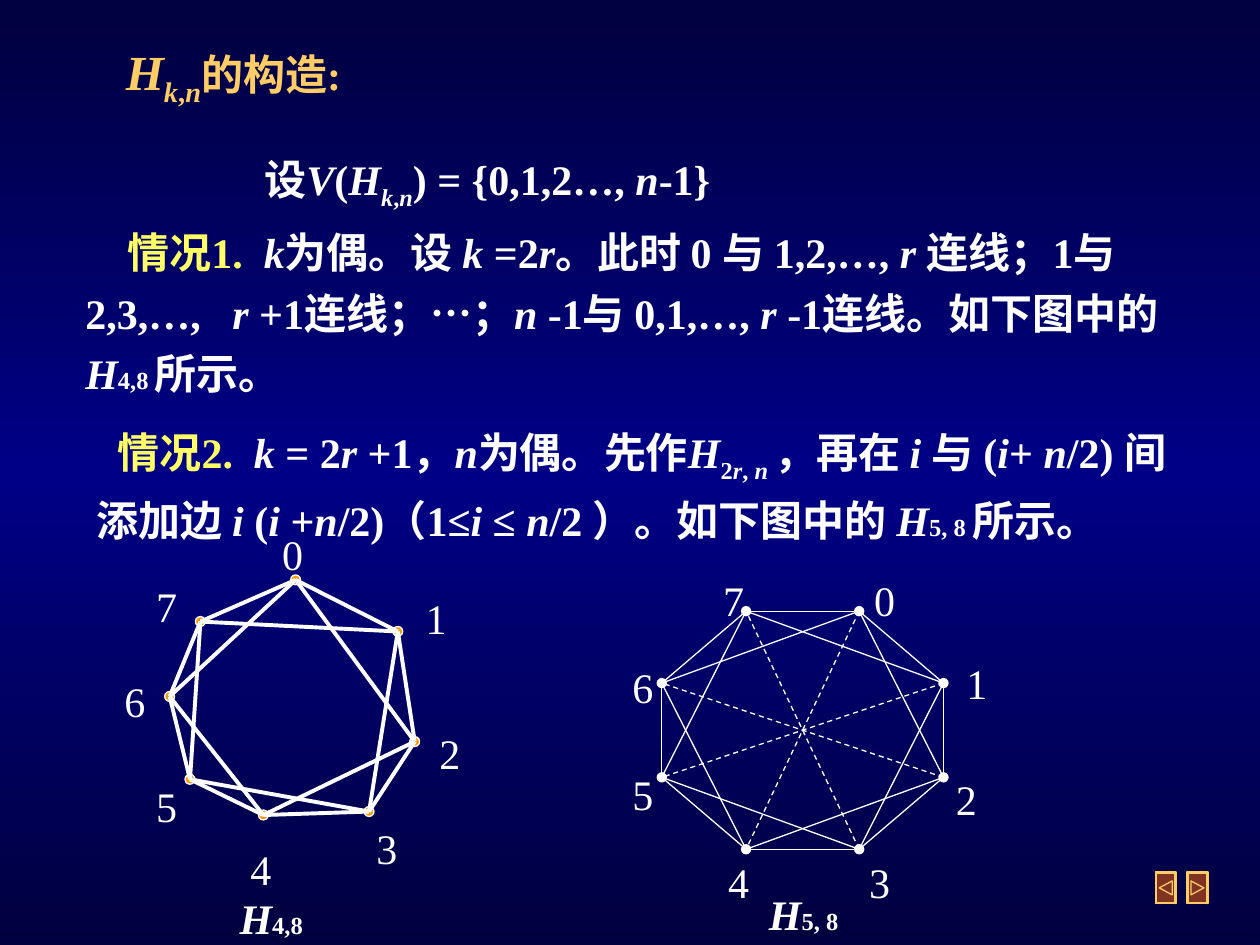
from copy import deepcopy

from lxml import etree
from pptx import Presentation
from pptx.dml.color import RGBColor
from pptx.enum.dml import MSO_LINE
from pptx.enum.shapes import MSO_CONNECTOR, MSO_SHAPE
from pptx.oxml.ns import qn
from pptx.util import Cm, Pt

STRAIGHT, DASH = MSO_CONNECTOR.STRAIGHT, MSO_LINE.DASH
OVAL, BEVEL = MSO_SHAPE.OVAL, MSO_SHAPE.BEVEL

THEME = {
    "latin": "Times New Roman", "east_asian": "Noto Sans CJK SC",
    "title": 28, "body": 24, "small": 14,
    "white": RGBColor.from_string("FFFFFF"),
    "gold": RGBColor.from_string("FFCC66"),
    "yellow": RGBColor.from_string("FFFF66"),
    "dot": RGBColor.from_string("FF9900"),
    "button": RGBColor.from_string("FF6600"),
    "edge": RGBColor.from_string("00003E"),
    "middle": RGBColor.from_string("000086"),
}

# Run flags: i italic, _ subscript, s small, b body size, y yellow
TITLE = [("H", "i"), ("k", "i_"), (",", "_"), ("n", "i_"), ("的构造:", "b")]
VERTEX_SET = [("设", ""), ("V", "i"), ("(", ""), ("H", "i"), ("k", "i_"), (",", "_"),
              ("n", "i_"), (") = {0,1,2…,", ""), (" n", "i"), ("-1}", "")]
CASE_1 = [("情况1.  ", "y"), ("k", "i"), ("为偶。设 ", ""), ("k ", "i"), ("=2", ""),
          ("r", "i"), ("。此时 0 与 1,2,…, ", ""), ("r ", "i"),
          ("连线；1与2,3,…,   ", ""), ("r ", "i"), ("+1连线；…；", ""), ("n ", "i"),
          ("-1与 0,1,…, ", ""), ("r ", "i"), ("-1连线。如下图中的 ", ""),
          ("H", "i"), ("4,8 ", "s"), ("所示。", "")]
CASE_2 = [("情况2.  ", "y"), ("k ", "i"), ("= 2", ""), ("r", "i"), (" +1，", ""),
          ("n", "i"), ("为偶。先作", ""), ("H", "i"), ("2", "_"), ("r", "i_"),
          (", ", "_"), ("n ", "i_"), ("，再在 ", ""), ("i ", "i"), ("与 (", ""),
          ("i", "i"), ("+ ", ""), ("n", "i"), ("/2) 间添加边 ", ""), ("i ", "i"),
          ("(", ""), ("i ", "i"), ("+", ""), ("n", "i"), ("/2)（1≤", ""), ("i ", "i"),
          ("≤ ", ""), ("n", "i"), ("/2 ）。如下图中的 ", ""), ("H", "i"),
          ("5, 8 ", "s"), ("所示。", "")]

# Text, box (left, top, width, height), layout options; lengths in cm
PARAGRAPHS = [
    (TITLE, (2.29, 0.71, 20.22, 1.6), {"size": "title", "color": "gold"}),
    (VERTEX_SET, (5.08, 2.97, 11.25, 1.42), {}),
    (CASE_1, (1.47, 4.24, 23.11, 3.91), {"indent": 0.85, "spacing": 1.2}),
    (CASE_2, (1.7, 8.25, 22.86, 2.87), {"indent": 0.42, "spacing": 1.2}),
    ([("H", "i"), ("4,8", "s")], (4.58, 17.86, 2.9, 1.19), {}),
    ([("H", "i"), ("5, 8", "s")], (15.25, 17.78, 3.4, 1.27), {}),
]

# Vertices and label corners in the order 0 to 7
H48 = {
    "vertices": [(5.96, 11.69), (8.02, 12.73), (8.36, 14.95), (7.44, 16.36),
                 (5.31, 16.43), (3.83, 15.71), (3.42, 14.04), (4.04, 12.53)],
    "labels": [(5.44, 10.52), (8.33, 11.81), (8.61, 14.55), (7.34, 16.46),
               (4.8, 16.87), (2.9, 15.6), (2.26, 13.49), (2.9, 11.58)],
}
H58 = {
    "vertices": [(17.32, 12.32), (19.02, 13.77), (19.02, 15.67), (17.32, 17.12),
                 (15.04, 17.12), (13.34, 15.67), (13.34, 13.77), (15.04, 12.32)],
    "labels": [(17.37, 11.46), (19.23, 13.13), (19.02, 15.47), (17.27, 17.15),
               (14.43, 17.15), (12.5, 15.37), (12.5, 13.21), (14.33, 11.46)],
}
LABEL_SIZE = (1.05, 1.27)
DOT = 0.2
BUTTON_Y, BUTTON_W, BUTTON_H = 17.58, 0.42, 0.64
BUTTONS = [(23.29, -1), (23.93, 1)]  # left edge, pointing direction


def set_background(s):
    fill = s.background.fill
    fill.gradient()
    fill.gradient_angle = 90
    first = s._element.find(".//" + qn("a:gsLst"))[0]
    first.addnext(deepcopy(first))
    for stop, (pos, color) in zip(fill.gradient_stops,
                                  [(0, "edge"), (0.5, "middle"), (1, "edge")]):
        stop.position = pos
        stop.color.rgb = THEME[color]


def add_text(s, runs, box, size="body", color="white", bold=True, indent=0, spacing=None):
    tf = s.shapes.add_textbox(*map(Cm, box)).text_frame
    tf.word_wrap = True
    p = tf.paragraphs[0]
    if spacing:
        p.line_spacing = spacing
    pPr = p._p.get_or_add_pPr()
    if indent:
        pPr.set("indent", str(Cm(indent)))
    p.font.name, p.font.bold = THEME["latin"], bold
    p.font.size = Pt(THEME[size])
    p.font.color.rgb = THEME[color]
    etree.SubElement(pPr.find(qn("a:defRPr")), qn("a:ea"), typeface=THEME["east_asian"])
    for text, flags in runs:
        r = p.add_run()
        r.text = text
        if "i" in flags:
            r.font.italic = True
        if "_" in flags:
            r._r.get_or_add_rPr().set("baseline", "-25000")
        if "s" in flags:
            r.font.size = Pt(THEME["small"])
        if "b" in flags:
            r.font.size = Pt(THEME["body"])
        if "y" in flags:
            r.font.color.rgb = THEME["yellow"]


def outline(shape, color, width=0.75):
    shape.line.color.rgb = THEME[color]
    shape.line.width = Pt(width)


def add_edge(s, start, end, width, dashed=False, dots=False):
    line = s.shapes.add_connector(STRAIGHT, *map(Cm, start + end))
    outline(line, "white", width)
    if dashed:
        line.line.dash_style = DASH
    if dots:
        for tag in ("a:headEnd", "a:tailEnd"):
            etree.SubElement(line.line._get_or_add_ln(), qn(tag), type="oval")
    etree.SubElement(line._element.spPr, qn("a:effectLst"))


def add_circulant(s, graph, width, rim_dots=False):
    """Join every vertex to the next two; number the vertices."""
    v = graph["vertices"]
    for i, start in enumerate(v):
        for step in (1, 2):
            add_edge(s, start, v[(i + step) % len(v)], width,
                     dots=rim_dots and step == 1 and i % 2 == 1)
    for i, corner in enumerate(graph["labels"]):
        add_text(s, [(str(i), "")], corner + LABEL_SIZE, bold=False)


def add_dots(s, vertices):
    for x, y in vertices:
        dot = s.shapes.add_shape(OVAL, Cm(x - DOT / 2), Cm(y - DOT / 2), Cm(DOT), Cm(DOT))
        dot.shadow.inherit = False
        dot.fill.solid()
        dot.fill.fore_color.rgb = THEME["dot"]
        outline(dot, "white")


def add_button(s, x, direction):
    frame = s.shapes.add_shape(BEVEL, Cm(x), Cm(BUTTON_Y), Cm(BUTTON_W), Cm(BUTTON_H))
    frame.adjustments[0] = 0.06
    frame.fill.solid()
    frame.fill.fore_color.rgb = THEME["button"]
    color = frame._element.spPr.find(".//" + qn("a:srgbClr"))
    etree.SubElement(color, qn("a:alpha"), val="50000")
    cx, cy = x + BUTTON_W / 2, BUTTON_Y + BUTTON_H / 2
    tip, base = Cm(cx + 0.13 * direction), Cm(cx - 0.13 * direction)
    builder = s.shapes.build_freeform(tip, Cm(cy))
    builder.add_line_segments([(base, Cm(cy - 0.14)), (base, Cm(cy + 0.14))])
    arrow = builder.convert_to_shape()
    arrow.fill.background()
    for shape in (frame, arrow):
        shape.shadow.inherit = False
        outline(shape, "gold")


def main():
    prs = Presentation()
    prs.slide_width, prs.slide_height = Cm(25.4), Cm(19.05)
    s = prs.slides.add_slide(prs.slide_layouts[6])
    set_background(s)
    for runs, box, options in PARAGRAPHS:
        add_text(s, runs, box, **options)
    add_dots(s, H48["vertices"])
    add_circulant(s, H48, 2.25)
    add_circulant(s, H58, 0.75, rim_dots=True)
    v = H58["vertices"]
    for start, opposite in zip(v[:4], v[4:]):
        add_edge(s, start, opposite, 0.75, dashed=True)
    for x, direction in BUTTONS:
        add_button(s, x, direction)
    prs.save("out.pptx")


if __name__ == "__main__":
    main()
